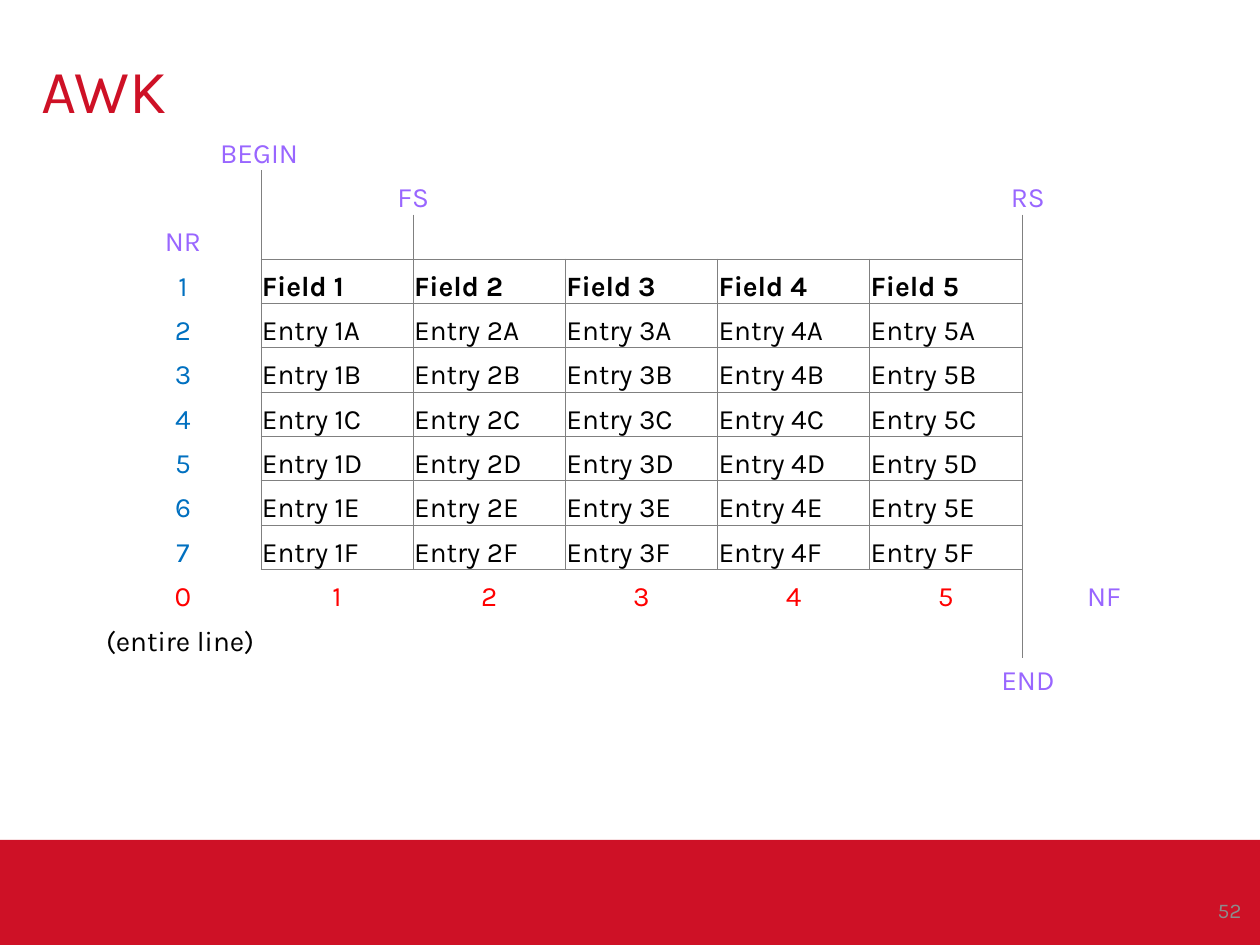
from dataclasses import dataclass

from lxml import etree
from pptx import Presentation
from pptx.dml.color import RGBColor
from pptx.enum.shapes import MSO_SHAPE
from pptx.enum.text import MSO_ANCHOR, PP_ALIGN
from pptx.oxml.ns import qn
from pptx.util import Emu, Pt

RECTANGLE = MSO_SHAPE.RECTANGLE
MIDDLE, BOTTOM = MSO_ANCHOR.MIDDLE, MSO_ANCHOR.BOTTOM
LEFT, CENTER, RIGHT = PP_ALIGN.LEFT, PP_ALIGN.CENTER, PP_ALIGN.RIGHT
EMU_PER_PX = 914400 / 126


@dataclass(frozen=True)
class Theme:
    font: str = "Karla"
    red: str = "CE1126"
    number: str = "8C8C8C"
    variable: str = "9966FF"
    record: str = "0070C0"
    field: str = "FF0000"
    body: str = "000000"
    rule: str = "808080"
    title_size: int = 35
    table_size: int = 16
    number_size: int = 12
    rule_width: float = 0.5


THEME = Theme()
ROWS, COLUMNS = 13, 7
FIELDS = range(1, 6)
FIRST_RECORD = 3
LETTERS = "ABCDEF"
FIELD_ROW = FIRST_RECORD + len(LETTERS) + 1
VERTICAL_RULES = {1: range(1, 10), 2: range(2, 10), 3: range(3, 10),
                  4: range(3, 10), 5: range(3, 10), 6: range(2, 12)}
HORIZONTAL_RULES = range(FIRST_RECORD, FIELD_ROW + 1)
SPANS = [(0, 0), (1, 1), (1, 5), (11, 0), (12, 5)]
VARIABLES = {(0, 0): "BEGIN", (1, 1): "FS", (1, 5): "RS",
             (2, 0): "NR", (FIELD_ROW, 6): "NF", (12, 5): "END"}


def px(length):
    return Emu(round(length * EMU_PER_PX))


def write(frame, text, size, color, align=LEFT, bold=False):
    para = frame.paragraphs[0]
    para.alignment = align
    span = para.add_run()
    span.text = text
    values = {"name": THEME.font, "size": Pt(size), "bold": bold}
    for name, value in values.items():
        setattr(span.font, name, value)
    span.font.color.rgb = RGBColor.from_string(color)


def add_band(page, left, top, width, height):
    band = page.shapes.add_shape(RECTANGLE, px(left), px(top), px(width), px(height))
    band.shadow.inherit = False
    band.fill.solid()
    band.fill.fore_color.rgb = RGBColor.from_string(THEME.red)
    band.line.fill.background()


def add_label(page, area, text, size, color, align=LEFT):
    box = page.shapes.add_textbox(*map(px, area))
    frame = box.text_frame
    frame.word_wrap = True
    frame.vertical_anchor = MIDDLE
    write(frame, text, size, color, align)


def draw_border(cell, side, visible):
    properties = cell._tc.get_or_add_tcPr()
    line = etree.SubElement(properties, qn(f"a:ln{side}"), w=str(Pt(THEME.rule_width)))
    if visible:
        fill = etree.SubElement(line, qn("a:solidFill"))
        etree.SubElement(fill, qn("a:srgbClr"), val=THEME.rule)
    else:
        etree.SubElement(line, qn("a:noFill"))


def format_cell(cell, row, column):
    values = {"margin_left": px(1), "margin_right": px(1), "margin_top": px(1),
              "margin_bottom": 0, "vertical_anchor": BOTTOM}
    for name, value in values.items():
        setattr(cell, name, value)
    borders = {
        "L": row in VERTICAL_RULES.get(column, ()),
        "R": row in VERTICAL_RULES.get(column + 1, ()),
        "T": column in FIELDS and row in HORIZONTAL_RULES,
        "B": column in FIELDS and row + 1 in HORIZONTAL_RULES,
    }
    for side, visible in borders.items():
        draw_border(cell, side, visible)
    cell.fill.background()


def fill_table(table):
    def put(row, column, text, color, align=CENTER, bold=False):
        frame = table.cell(row, column).text_frame
        write(frame, text, THEME.table_size, color, align, bold)

    for (row, column), text in VARIABLES.items():
        put(row, column, text, THEME.variable)
    for row in range(FIRST_RECORD, FIELD_ROW):
        put(row, 0, str(row - FIRST_RECORD + 1), THEME.record)
    for field in FIELDS:
        put(FIRST_RECORD, field, f"Field {field}", THEME.body, LEFT, True)
        for row, letter in enumerate(LETTERS, FIRST_RECORD + 1):
            put(row, field, f"Entry {field}{letter}", THEME.body, LEFT)
    for column in range(len(FIELDS) + 1):
        put(FIELD_ROW, column, str(column), THEME.field)
    put(11, 0, "(entire line)", THEME.body, LEFT)


def add_record_table(page, left, top, width, height):
    table = page.shapes.add_table(
        ROWS, COLUMNS, px(left), px(top), px(width), px(height)).table
    table.first_row = False
    table.horz_banding = False
    first, last = 156, 164
    field_width = (width - first - last) / len(FIELDS)
    for column, column_width in zip(
            table.columns, [first] + [field_width] * len(FIELDS) + [last]):
        column.width = px(column_width)
    for row in range(ROWS):
        table.rows[row].height = px(height / ROWS)
        for column in range(COLUMNS):
            format_cell(table.cell(row, column), row, column)
    for row, column in SPANS:
        table.cell(row, column).merge(table.cell(row, column + 1))
    table.cell(12, 5).vertical_anchor = MIDDLE
    fill_table(table)


def main():
    deck = Presentation()
    deck.slide_width, deck.slide_height = px(1260), px(945)
    page = deck.slides.add_slide(deck.slide_layouts[6])
    add_band(page, 0, 840, 1260, 105)
    add_label(page, (1181, 880, 73, 60), "52", THEME.number_size, THEME.number, RIGHT)
    add_label(page, (29, 10, 1071, 158), "AWK", THEME.title_size, THEME.red)
    add_record_table(page, 105, 126, 1081, 577)
    deck.save("out.pptx")


if __name__ == "__main__":
    main()
